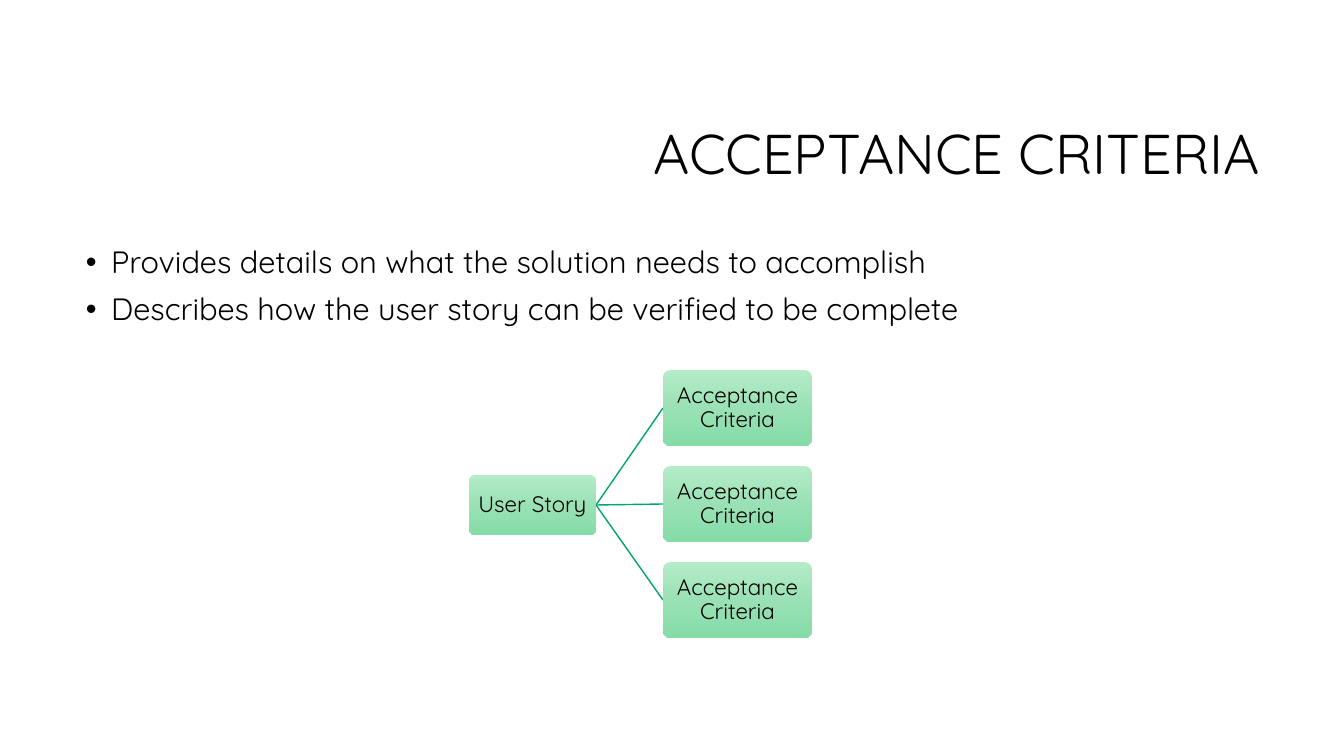
from copy import deepcopy
from pptx import Presentation
from pptx.dml.color import RGBColor
from pptx.enum.shapes import MSO_CONNECTOR as CONN, MSO_SHAPE as SHAPE
from pptx.enum.text import MSO_ANCHOR as ANCHOR, PP_ALIGN as ALIGN
from pptx.oxml.ns import qn
from pptx.util import Emu, Pt
from lxml.etree import SubElement

SCALE = 12192000 / 1344
STOPS = [(0, "B4ECC8"), (0.52, "99E1B4"), (1, "84DCA6")]


def px(*lengths):
    return [Emu(round(n * SCALE)) for n in lengths]


def write(sp, lines, size, frame, para):
    tf = sp.text_frame
    tf.word_wrap = True
    for name, value in frame.items():
        setattr(tf, name, value)
    for i, line in enumerate(lines):
        p = tf.paragraphs[0] if i == 0 else tf.add_paragraph()
        p.line_spacing = 0.9
        for name, value in para.items():
            setattr(p, name, value)
        r = p.add_run()
        r.text = line
        r.font.name, r.font.size = "Quicksand", Pt(size)
        r.font.color.rgb = RGBColor.from_string("000000")


prs = Presentation()
prs.slide_width, prs.slide_height = px(1344, 756)
s = prs.slides.add_slide(prs.slide_layouts[6])

title = s.shapes.add_textbox(*px(320, 85, 950, 142))
write(title, ["ACCEPTANCE CRITERIA"], 40,
      {"vertical_anchor": ANCHOR.MIDDLE}, {"alignment": ALIGN.RIGHT})

body = s.shapes.add_textbox(*px(76, 242, 1145, 444))
write(body, ["Provides details on what the solution needs to accomplish",
             "Describes how the user story can be verified to be complete"],
      22, {}, {"space_before": Pt(10)})
for p in body.text_frame.paragraphs:
    pPr = p._p.get_or_add_pPr()
    pPr.set("marL", "228600")
    pPr.set("indent", "-228600")
    SubElement(pPr, qn("a:buFont")).set("typeface", "Arial")
    SubElement(pPr, qn("a:buChar")).set("char", "•")

story = (469, 475, 127, 60)
criteria = [(663, 370 + 96 * i, 149, 76) for i in range(3)]

for x, y, w, h in criteria:
    line = s.shapes.add_connector(
        CONN.STRAIGHT, *px(story[0] + story[2], story[1] + story[3] / 2, x, y + h / 2))
    line.line.color.rgb = RGBColor.from_string("01A764")
    line.line.width = Pt(1)
    SubElement(line._element.spPr, qn("a:effectLst"))

boxes = [(story, "User Story")] + [(at, "Acceptance Criteria") for at in criteria]
inset = px(1)[0]
frame = {"vertical_anchor": ANCHOR.MIDDLE, "margin_left": inset, "margin_right": inset,
         "margin_top": inset, "margin_bottom": inset}
for at, text in boxes:
    sp = s.shapes.add_shape(SHAPE.ROUNDED_RECTANGLE, *px(*at))
    sp.adjustments[0] = 0.1
    sp.shadow.inherit = False
    sp.line.fill.background()
    sp.fill.gradient()
    sp.fill.gradient_angle = 270
    first = sp._element.spPr.find(".//" + qn("a:gs"))
    first.addnext(deepcopy(first))
    for stop, (position, color) in zip(sp.fill.gradient_stops, STOPS):
        stop.position = position
        stop.color.rgb = RGBColor.from_string(color)
    write(sp, [text], 16, frame, {"alignment": ALIGN.CENTER})

prs.save("out.pptx")
